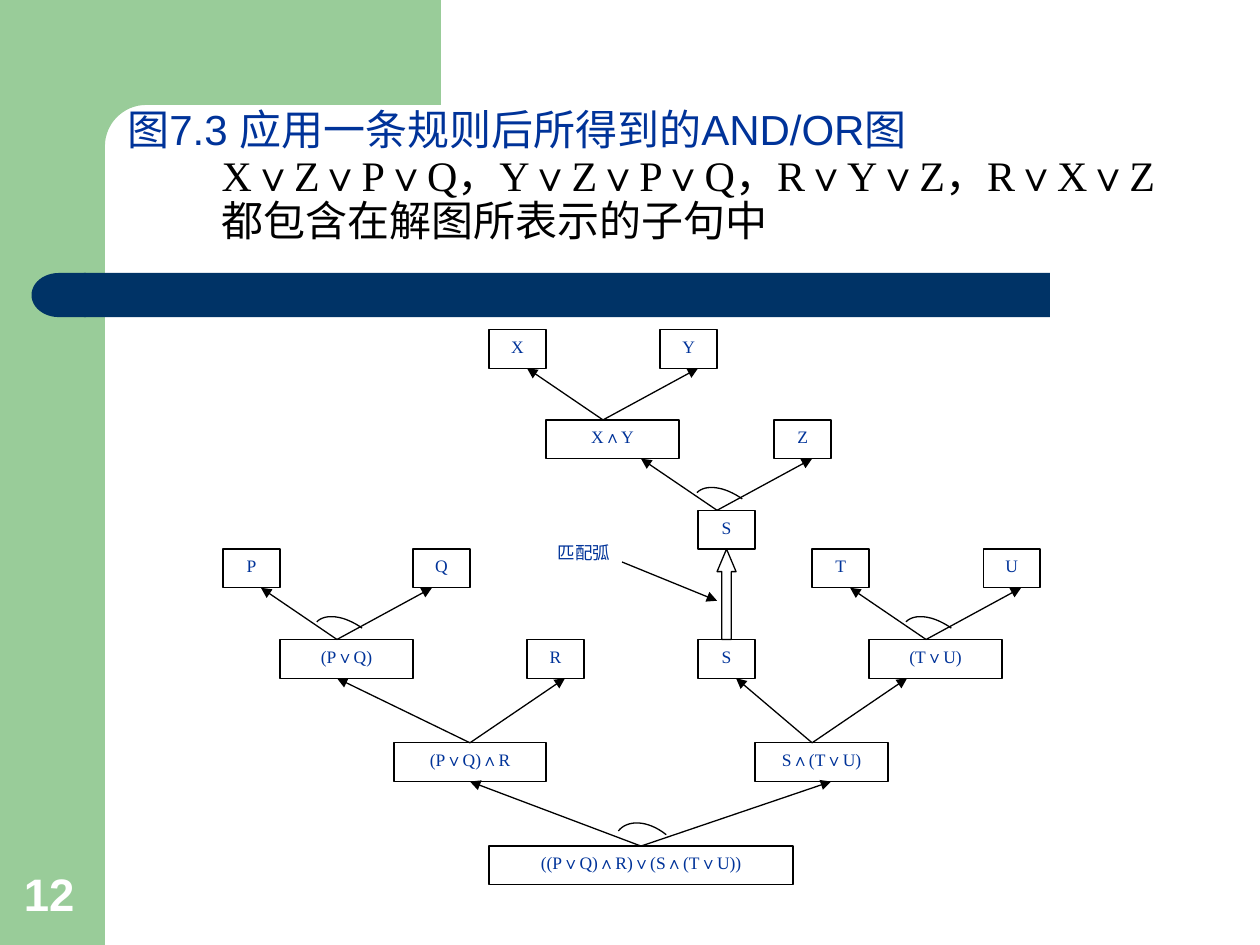
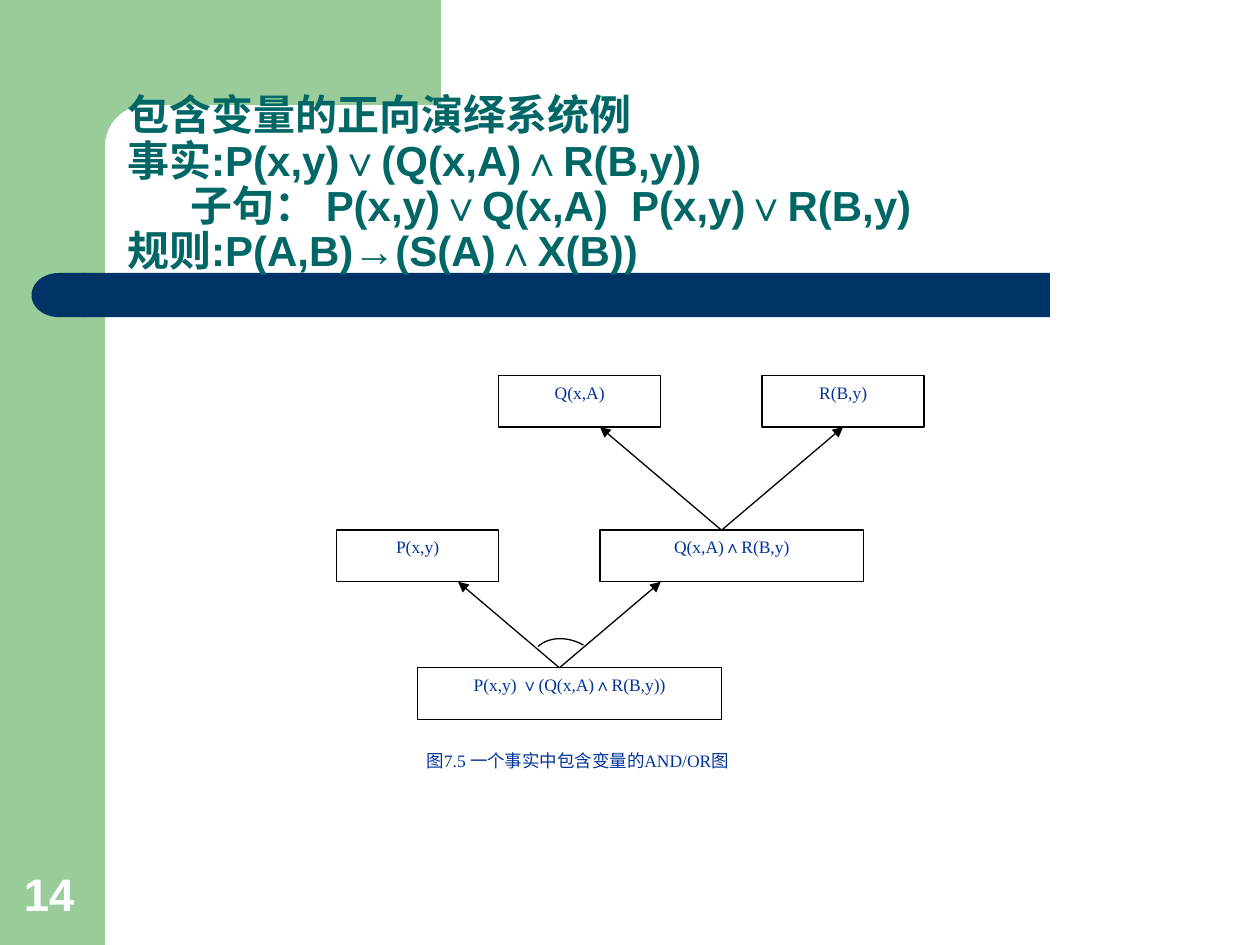
from dataclasses import dataclass
from typing import NamedTuple, Optional

from lxml.etree import SubElement
from pptx import Presentation
from pptx.dml.color import RGBColor
from pptx.enum.shapes import MSO_CONNECTOR as Link, MSO_SHAPE as Kind
from pptx.enum.text import MSO_ANCHOR as Anchor, MSO_AUTO_SIZE as AutoSize, PP_ALIGN as Align
from pptx.oxml.ns import qn
from pptx.util import Pt

# Shared look
GREEN, NAVY, BLUE, TEAL = "99CC99", "003366", "003399", "006666"
BLACK, WHITE = "000000", "FFFFFF"
SANS, SERIF = "Arial", "Times New Roman"
LINE_WIDTH = 0.75

Point = tuple[float, float]
Curve = tuple[Point, Point, Point, Point]

# AND arcs: control points measured from the tip of the fork
WIDE_ARC: Curve = ((14.4, -6.5), (3.6, -15.1), (-7.9, -15.1), (-13, -8.6))
NARROW_ARC: Curve = ((14.4, -6.5), (4.3, -13.7), (-6.5, -15.1), (-11.5, -10.1))
HIGH_ARC: Curve = ((13.7, -13), (5, -18), (-5.8, -18), (-12.2, -12.2))


@dataclass(frozen=True)
class Grid:
    """Turns columns and rows of a graph into points."""
    left: float
    top: float
    column: float
    row: float

    def at(self, column: float, row: float) -> Point:
        return self.left + column * self.column, self.top + row * self.row

    def frame(self, column: float, row: float, columns: float, rows: float) -> tuple:
        return (*self.at(column, row), columns * self.column, rows * self.row)


class Node(NamedTuple):
    text: str
    column: float
    row: float
    columns: float


class Fork(NamedTuple):
    """Two arrows from one parent point to its two children."""
    column: float
    row: float
    left: float
    right: float
    tip_row: float
    arc: Optional[Curve] = None


class Span(NamedTuple):
    text: str
    font: str
    color: str
    bold: bool = False


class TitleLine(NamedTuple):
    spans: list[Span]
    indent: float = 0
    tabs: tuple[float, ...] = ()


NODE_ROWS = 3
RULE_GRID = Grid(left=127.4, top=188.3, column=10.86, row=7.38)
RULE_NODES = [
    Node("P", 0, 17, 3), Node("Q", 10, 17, 3), Node("T", 31, 17, 3), Node("U", 40, 17, 3),
    Node("(P∨Q)", 3, 24, 7), Node("R", 16, 24, 3), Node("S", 25, 24, 3), Node("(T∨U)", 34, 24, 7),
    Node("(P∨Q)∧R", 9, 32, 8), Node("S∧(T∨U)", 28, 32, 7),
    Node("((P∨Q)∧R)∨(S∧(T∨U))", 14, 40, 16),
    Node("X", 14, 0, 3), Node("Y", 23, 0, 3),
    Node("X∧Y", 17, 7, 7), Node("Z", 29, 7, 3), Node("S", 25, 14, 3),
]
RULE_FORKS = [
    Fork(6, 24, 2, 11, 20, NARROW_ARC), Fork(37, 24, 33, 42, 20, NARROW_ARC),
    Fork(13, 32, 6, 18, 27), Fork(31, 32, 27, 36, 27), Fork(22, 40, 13, 32, 35, WIDE_ARC),
    Fork(20, 7, 16, 25, 3), Fork(26, 14, 22, 31, 10, NARROW_ARC),
]

FACT_GRID = Grid(left=192.3, top=214.5, column=11.58, row=9.83)
FACT_NODES = [
    Node("P(x,y) ∨(Q(x,A)∧R(B,y))", 4, 17, 15), Node("P(x,y)", 0, 9, 8),
    Node("Q(x,A)∧R(B,y)", 13, 9, 13), Node("Q(x,A)", 8, 0, 8), Node("R(B,y)", 21, 0, 8),
]
FACT_FORKS = [Fork(11, 17, 6, 16, 12, HIGH_ARC), Fork(19, 9, 13, 25, 3)]

RULE_TITLE = [
    TitleLine([Span("图7.3 应用一条规则后所得到的AND/OR图", SANS, BLUE)]),
    TitleLine([Span("X∨Z∨P∨Q，Y∨Z∨P∨Q，R∨Y∨Z，R∨X∨Z都包含在解图所表示的子句中", SERIF, BLACK)],
              indent=54),
]
FACT_TITLE = [
    TitleLine([Span(text, SANS, TEAL, True)], tabs=tabs)
    for text, tabs in [
        ("包含变量的正向演绎系统例", ()),
        ("事实:P(x,y)∨(Q(x,A)∧R(B,y))", ()),
        ("\t子句： P(x,y)∨Q(x,A)\tP(x,y)∨R(B,y)", (52.5, 336.5)),
        ("规则:P(A,B)→(S(A)∧X(B))", ()),
    ]
]


# Drawing helpers
def paint(color: str) -> RGBColor:
    return RGBColor.from_string(color)


def points(*lengths: float) -> list:
    return [Pt(length) for length in lengths]


def add_span(para, text: str, *, size: float, font: str = SERIF, color: str = BLUE,
             bold: bool = False) -> None:
    span = para.add_run()
    span.text = text
    span.font.size, span.font.name, span.font.bold = Pt(size), font, bold
    span.font.color.rgb = paint(color)


def style(shape, fill: Optional[str] = None, line: Optional[str] = None):
    shape.shadow.inherit = False
    if fill:
        shape.fill.solid()
        shape.fill.fore_color.rgb = paint(fill)
    else:
        shape.fill.background()
    if line:
        shape.line.color.rgb = paint(line)
        shape.line.width = Pt(LINE_WIDTH)
    else:
        shape.line.fill.background()
    return shape


def add_box(page, kind, frame: tuple, fill: str, line: Optional[str] = None):
    return style(page.shapes.add_shape(kind, *points(*frame)), fill, line)


def label(shape, text: str) -> None:
    frame = shape.text_frame
    frame.word_wrap = True
    frame.vertical_anchor = Anchor.TOP
    frame.paragraphs[0].alignment = Align.CENTER
    add_span(frame.paragraphs[0], text, size=10)


def curve_points(curve: Curve, steps: int = 16) -> list[Point]:
    def blend(axis: int, t: float) -> float:
        a, b, c, d = (point[axis] for point in curve)
        s = 1 - t
        return a * s**3 + 3 * b * s * s * t + 3 * c * s * t * t + d * t**3

    return [(blend(0, i / steps), blend(1, i / steps)) for i in range(steps + 1)]


def add_outline(page, outline: list[Point], close: bool, **look):
    start, *rest = [tuple(points(*point)) for point in outline]
    builder = page.shapes.build_freeform(*start)
    builder.add_line_segments(rest, close=close)
    return style(builder.convert_to_shape(), **look)


def add_arrow(page, start: Point, end: Point) -> None:
    arrow = page.shapes.add_connector(Link.STRAIGHT, *points(*start, *end))
    arrow.line.color.rgb = paint(BLACK)
    arrow.line.width = Pt(LINE_WIDTH)
    SubElement(arrow.line._get_or_add_ln(), qn("a:tailEnd"), type="triangle")
    SubElement(arrow.element.spPr, qn("a:effectLst"))


# Parts of every slide
def decorate_layout(page, layout) -> None:
    """Draw the green corner and the navy band, then hand them to the layout."""
    corner = curve_points(((83.5, 60), (70.6, 60), (60, 70.6), (60, 83.5)))
    delay = add_box(page, Kind.FLOWCHART_DELAY, (18, 156, 31, 25.2), NAVY)
    delay.rotation = 180
    parts = [
        add_box(page, Kind.RECTANGLE, (0, 0, 60, 540), GREEN),
        add_outline(page, [(36, 0), (252, 0), (252, 60), *corner, (60, 92), (36, 92)],
                    close=True, fill=GREEN),
        add_box(page, Kind.RECTANGLE, (48, 156, 552, 25.2), NAVY),
        delay,
    ]
    for part in parts:
        layout.element.cSld.spTree.append(part.element)


def set_title(page, lines: list[TitleLine], top: float) -> None:
    title = page.shapes.title
    title.left, title.top, title.width, title.height = points(65.5, top, 612.7, 78.5)
    frame = title.text_frame
    frame.word_wrap, frame.auto_size = True, AutoSize.NONE
    frame.vertical_anchor = Anchor.BOTTOM
    for index, line in enumerate(lines):
        para = frame.add_paragraph() if index else frame.paragraphs[0]
        para.alignment, para.line_spacing = Align.LEFT, 0.9
        properties = para._p.get_or_add_pPr()
        properties.set("marL", str(Pt(line.indent)))
        properties.set("indent", "0")
        if line.tabs:
            stops = SubElement(properties, qn("a:tabLst"))
            for tab in line.tabs:
                SubElement(stops, qn("a:tab"), pos=str(Pt(tab)), algn="l")
        for span in line.spans:
            add_span(para, span.text, size=24, font=span.font, color=span.color, bold=span.bold)


def add_number(page, number: int) -> None:
    frame = page.shapes.add_textbox(*points(6.5, 491.8, 46, 38)).text_frame
    frame.word_wrap = True
    frame.vertical_anchor = Anchor.BOTTOM
    add_span(frame.paragraphs[0], str(number), size=26, font=SANS, color=WHITE, bold=True)


def draw_graph(page, grid: Grid, nodes: list[Node], forks: list[Fork]) -> None:
    for node in nodes:
        frame = grid.frame(node.column, node.row, node.columns, NODE_ROWS)
        label(add_box(page, Kind.RECTANGLE, frame, WHITE, BLACK), node.text)
    for fork in forks:
        x, y = grid.at(fork.column, fork.row)
        for tip in (fork.left, fork.right):
            add_arrow(page, (x, y), grid.at(tip, fork.tip_row))
        if fork.arc:
            arc = [(x + dx, y + dy) for dx, dy in curve_points(fork.arc)]
            add_outline(page, arc, close=False, line=BLACK)


def add_match_arc(page, grid: Grid) -> None:
    """The hollow arrow between the two S nodes, with its label."""
    hollow = add_box(page, Kind.UP_ARROW, grid.frame(26, 17, 1, 7), WHITE, BLACK)
    hollow.adjustments[0], hollow.adjustments[1] = 0.5, 1.19
    label(add_box(page, Kind.RECTANGLE, grid.frame(16, 16, 6, 3), WHITE), "匹配弧")
    add_arrow(page, grid.at(21, 18), grid.at(26, 21))


def main() -> None:
    deck = Presentation()
    deck.slide_width, deck.slide_height = points(720, 540)
    layout = deck.slide_layouts.get_by_name("Title Only")

    # Applying one rule
    rule_page = deck.slides.add_slide(layout)
    decorate_layout(rule_page, layout)
    set_title(rule_page, RULE_TITLE, top=65.5)
    add_number(rule_page, 12)
    draw_graph(rule_page, RULE_GRID, RULE_NODES, RULE_FORKS)
    add_match_arc(rule_page, RULE_GRID)

    # A fact with variables
    fact_page = deck.slides.add_slide(layout)
    set_title(fact_page, FACT_TITLE, top=82.8)
    add_number(fact_page, 14)
    draw_graph(fact_page, FACT_GRID, FACT_NODES, FACT_FORKS)
    caption = fact_page.shapes.add_textbox(*points(*FACT_GRID.frame(-1.6, 21.4, 27, 3)))
    label(caption, "图7.5 一个事实中包含变量的AND/OR图")

    deck.save("out.pptx")


if __name__ == "__main__":
    main()
